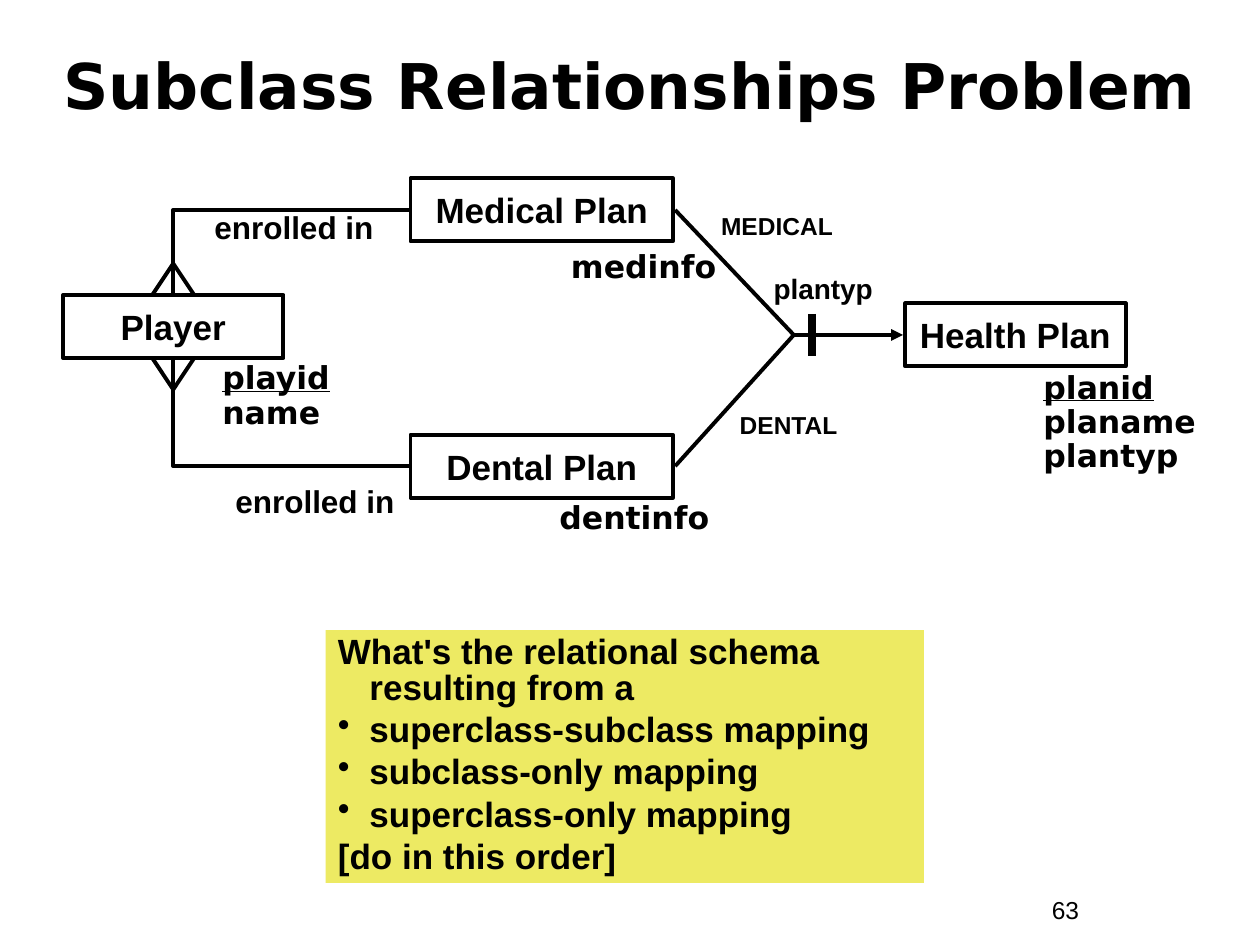
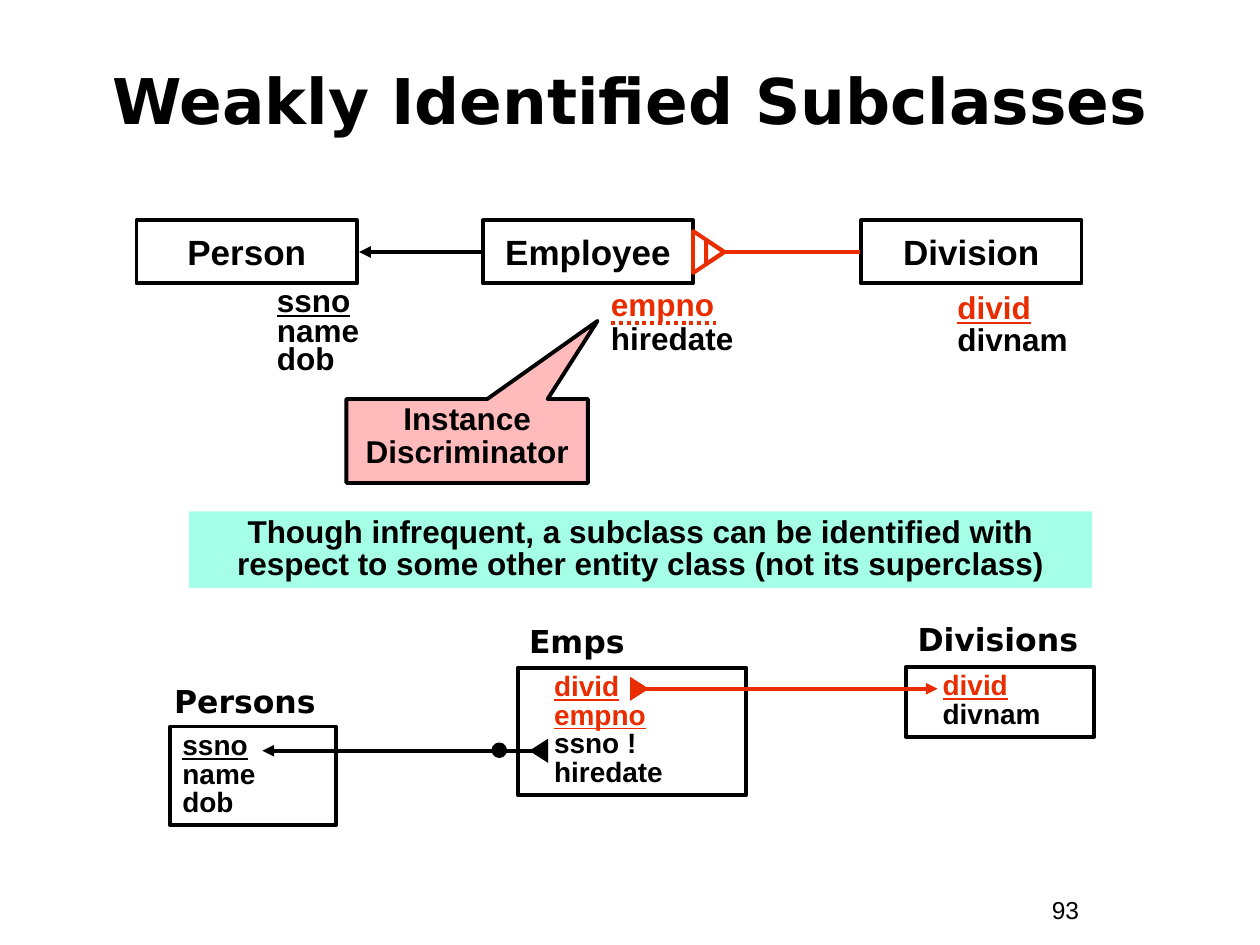
from pptx import Presentation
from pptx.dml.color import RGBColor
from pptx.enum.dml import MSO_LINE
from pptx.enum.shapes import MSO_CONNECTOR, MSO_SHAPE
from pptx.enum.text import MSO_ANCHOR, PP_ALIGN
from pptx.oxml.ns import qn
from pptx.util import Inches, Pt
from lxml import etree

STRAIGHT = MSO_CONNECTOR.STRAIGHT
RECTANGLE = MSO_SHAPE.RECTANGLE
TRIANGLE = MSO_SHAPE.ISOSCELES_TRIANGLE
OVAL = MSO_SHAPE.OVAL
CALLOUT = MSO_SHAPE.RECTANGULAR_CALLOUT
DOTTED = MSO_LINE.ROUND_DOT
TOP, MIDDLE = MSO_ANCHOR.TOP, MSO_ANCHOR.MIDDLE
LEFT, CENTER = PP_ALIGN.LEFT, PP_ALIGN.CENTER

COLORS = {
    "black": "000000",
    "red": "EA2D00",
    "yellow": "EDEA63",
    "mint": "A5FFE7",
    "pink": "FFBBBB",
}
BODY_FONT, TITLE_FONT = "Arial", "DejaVu Sans"
COLUMNS, ROWS, CELLS_PER_INCH = 120, 90, 12
LINE_WIDTH = 2.25
PAGE_NUMBER_AREA = (99, 84.7, 11, 4.1)

PLAN_ENTITIES = {
    "Medical Plan": (39.1, 17, 25, 6),
    "Dental Plan": (39.1, 41.4, 25, 6),
    "Player": (6, 28.1, 21, 6),
    "Health Plan": (86.2, 28.9, 21, 6),
}
PLAN_LABELS = [
    ("enrolled in", (18, 19.9, 20, 4.1), 18),
    ("enrolled in", (20, 46, 20, 4.1), 18),
    ("plantyp", (70.9, 25.9, 15, 3.8), 16),
    ("MEDICAL", (66, 20, 16, 3.5), 14),
    ("DENTAL", (67.1, 39, 16, 3.5), 14),
]
PLAN_ATTRIBUTES = [
    ([("playid", "underline"), "name"], (20, 34.1, 19, 7.6)),
    (["medinfo"], (53.2, 23.5, 19, 4.3)),
    (["dentinfo"], (52.1, 47.4, 19, 4.3)),
    ([("planid", "underline"), "planame", "plantyp"], (98.2, 35, 17, 10.8)),
]
QUESTION = [
    "What's the relational schema resulting from a",
    ("superclass-subclass mapping", "bullet"),
    ("subclass-only mapping", "bullet"),
    ("superclass-only mapping", "bullet"),
    "[do in this order]",
]
QUESTION_AREA = (31, 60, 57, 24.1)
JUNCTION = (75.6, 31.9)

STAFF_ENTITIES = {
    "Person": (13, 21, 21, 6),
    "Employee": (46, 21, 20, 6),
    "Division": (82, 21, 21, 6),
}
STAFF_ATTRIBUTES = [
    ([("ssno", "underline"), "name", "dob"], (25.2, 26.6, 13, 9.8), (0.9, 0.75, 0.75)),
    ([("divid", "red underline"), "divnam"], (90, 27.4, 21, 7.3), (0.85, 0.85)),
    ([("empno", "red"), "hiredate"], (57, 27, 17, 7.7), (0.9, 0.9)),
]
STAFF_TABLES = [
    ("Persons", (15.4, 64.4, 25.8, 4.8), 1,
     [("ssno", "underline"), "name", "dob"], (16.2, 69.2, 15.8, 9.4), 0.1),
    ("Emps", (49.2, 59.3, 25.8, 4.1), 0.8,
     [("divid", "red underline"), ("empno", "red underline"), "ssno !", "hiredate"],
     (49.3, 63.6, 21.8, 12.1), 0.29),
    ("Divisions", (86.2, 59.2, 25.8, 4.1), 0.8,
     [("divid", "red underline"), "divnam"], (86.3, 63.5, 17.9, 6.7), 0.29),
]
BANNER = ("Though infrequent, a subclass can be identified with respect "
          "to some other entity class (not its superclass)")
BANNER_AREA = (18, 48.7, 86, 7.3)
CALLOUT_AREA = (33, 38, 23, 8)


def cells(*values):
    return [Inches(value / CELLS_PER_INCH) for value in values]


def color(name):
    return RGBColor.from_string(COLORS[name])


def set_outline(line, name="black", width=LINE_WIDTH):
    line.color.rgb = color(name)
    line.width = Pt(width)


def write(shape, lines, size=18, font=BODY_FONT, bold=True, align=LEFT, anchor=TOP,
          spacing=1.0, gap=0, hanging=0, inset=0.1, wrap=True):
    frame = shape.text_frame
    frame.word_wrap = wrap
    frame.vertical_anchor = anchor
    frame.margin_left = Inches(inset)
    frame.margin_right = Inches(0.1)
    frame.margin_top = frame.margin_bottom = Inches(0.05)
    spacings = spacing if isinstance(spacing, tuple) else (spacing,) * len(lines)
    for index, (line, line_spacing) in enumerate(zip(lines, spacings)):
        text, style = (line, "") if isinstance(line, str) else line
        paragraph = frame.add_paragraph() if index else frame.paragraphs[0]
        paragraph.text = text
        properties = paragraph._p.get_or_add_pPr()
        if hanging:
            properties.set("marL", str(Inches(hanging)))
            properties.set("indent", str(-Inches(hanging)))
        if "bullet" in style:
            etree.SubElement(properties, qn("a:buChar")).set("char", "•")
        paragraph.alignment = align
        paragraph.line_spacing = line_spacing
        paragraph.space_before = Pt(gap if index else 0)
        paragraph.font.name = font
        paragraph.font.size = Pt(size)
        paragraph.font.bold = bold
        paragraph.font.underline = "underline" in style
        paragraph.font.color.rgb = color("red" if "red" in style else "black")


def add_text(slide, area, lines, **style):
    write(slide.shapes.add_textbox(*cells(*area)), lines, **style)


def add_figure(slide, area, kind=RECTANGLE, fill=None, outline="black"):
    shape = slide.shapes.add_shape(kind, *cells(*area))
    shape.shadow.inherit = False
    if fill:
        shape.fill.solid()
        shape.fill.fore_color.rgb = color(fill)
    else:
        shape.fill.background()
    if outline:
        set_outline(shape.line, outline)
    else:
        shape.line.fill.background()
    return shape


def add_triangle(slide, center, base, height, rotation, **look):
    x, y = center
    area = (x - base / 2, y - height / 2, base, height)
    add_figure(slide, area, TRIANGLE, **look).rotation = rotation


def add_line(slide, start, end, name="black", width=LINE_WIDTH, arrow=False, dash=None):
    connector = slide.shapes.add_connector(STRAIGHT, *cells(*start, *end))
    set_outline(connector.line, name, width)
    if dash:
        connector.line.dash_style = dash
    if arrow:
        outline = connector.line._get_or_add_ln()
        etree.SubElement(outline, qn("a:tailEnd")).set("type", "triangle")
    etree.SubElement(connector._element.spPr, qn("a:effectLst"))


def add_elbow(slide, *points):
    start, *rest = [cells(*point) for point in points]
    builder = slide.shapes.build_freeform(*start)
    builder.add_line_segments(rest, close=False)
    shape = builder.convert_to_shape()
    shape.shadow.inherit = False
    shape.fill.background()
    set_outline(shape.line)


def add_entities(slide, entities):
    for name, area in entities.items():
        write(add_figure(slide, area), [name], size=20, align=CENTER,
              anchor=MIDDLE, wrap=False)


def start_slide(presentation, title, title_area, number):
    slide = presentation.slides.add_slide(presentation.slide_layouts[6])
    add_text(slide, PAGE_NUMBER_AREA, [number], size=14, bold=False)
    add_text(slide, title_area, [title], size=36, font=TITLE_FONT,
             align=CENTER, anchor=MIDDLE)
    return slide


def build_plans(presentation):
    slide = start_slide(presentation, "Subclass Relationships Problem",
                        (4, 3, 112, 10), "63")
    add_entities(slide, PLAN_ENTITIES)
    left, top, width, height = PLAN_ENTITIES["Player"]
    middle = left + width / 2
    for plan, edge, outward in (("Medical Plan", top, -3), ("Dental Plan", top + height, 3)):
        plan_left, plan_top, plan_width, plan_height = PLAN_ENTITIES[plan]
        plan_middle = plan_top + plan_height / 2
        add_elbow(slide, (middle, edge), (middle, plan_middle), (plan_left, plan_middle))
        for spread in (-2, 2):
            add_line(slide, (middle, edge + outward), (middle + spread, edge))
        add_line(slide, (plan_left + plan_width + 0.2, plan_middle), JUNCTION)
    x, y = JUNCTION
    add_line(slide, JUNCTION, (PLAN_ENTITIES["Health Plan"][0] - 0.2, y), arrow=True)
    add_line(slide, (x + 1.7, y - 2), (x + 1.7, y + 2), width=4.5)
    for text, area, size in PLAN_LABELS:
        add_text(slide, area, [text], size=size, align=CENTER, spacing=0.8)
    for lines, area in PLAN_ATTRIBUTES:
        add_text(slide, area, lines, font=TITLE_FONT, spacing=0.85, gap=1.1)
    question = add_figure(slide, QUESTION_AREA, fill="yellow", outline=None)
    write(question, QUESTION, size=20, spacing=0.85, gap=3.7, hanging=0.25)


def build_staff(presentation):
    slide = start_slide(presentation, "Weakly Identified Subclasses",
                        (4, 4, 112, 11), "93")
    add_entities(slide, STAFF_ENTITIES)
    add_line(slide, (45.9, 24), (34.2, 24), arrow=True)
    add_line(slide, (69, 24), (81.9, 24), "red")
    for lines, area, spacing in STAFF_ATTRIBUTES:
        add_text(slide, area, lines, spacing=spacing)
    add_line(slide, (58.2, 30.8), (68.2, 30.8), "red", dash=DOTTED)
    add_triangle(slide, (67.5, 24), 4, 3, 90, outline="red")
    add_triangle(slide, (68.1, 24), 2.3, 1.7, 90, outline="red")
    banner = add_figure(slide, BANNER_AREA, fill="mint", outline=None)
    write(banner, [BANNER], align=CENTER, spacing=0.85)
    for name, name_area, name_spacing, fields, area, inset in STAFF_TABLES:
        add_text(slide, name_area, [name], font=TITLE_FONT, spacing=name_spacing)
        write(add_figure(slide, area), fields, size=16, spacing=0.85, inset=inset)
    add_line(slide, (52, 71.5), (25, 71.5), arrow=True)
    add_line(slide, (60.1, 65.6), (89.3, 65.6), "red", arrow=True)
    add_figure(slide, (47, 70.9, 1.1, 1.1), OVAL, fill="black")
    callout = add_figure(slide, CALLOUT_AREA, CALLOUT, fill="pink")
    callout.adjustments[0], callout.adjustments[1] = 0.54, -1.43
    write(callout, ["Instance", "Discriminator"], align=CENTER, spacing=0.85)
    add_triangle(slide, (51.3, 71.5), 2.3, 1.8, 270, fill="black", outline=None)
    add_triangle(slide, (60.9, 65.6), 2.3, 1.8, 90, fill="red", outline=None)


def main():
    presentation = Presentation()
    presentation.slide_width, presentation.slide_height = cells(COLUMNS, ROWS)
    build_plans(presentation)
    build_staff(presentation)
    presentation.save("out.pptx")


if __name__ == "__main__":
    main()
